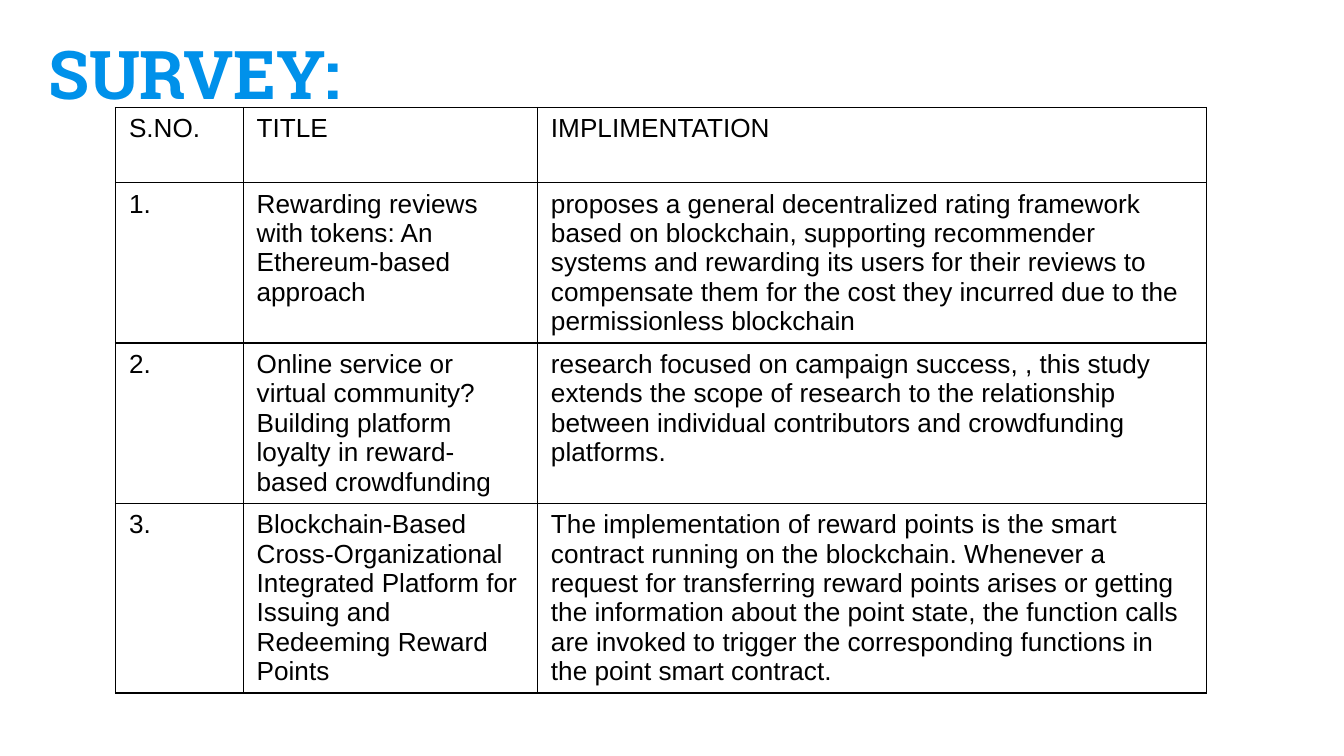
from dataclasses import dataclass

from lxml import etree
from pptx import Presentation
from pptx import util as u
from pptx.dml.color import RGBColor
from pptx.enum import text
from pptx.oxml import ns


@dataclass(frozen=True)
class Theme:
    heading_color: str = "0091EA"
    ink: str = "000000"
    heading_font: str = "Roboto Slab"
    body_font: str = "Arial"
    heading_size: int = 36
    body_size: int = 14
    border_width: float = 0.75


theme = Theme()


def format_run(run, font, size, color, bold=False):
    run.font.name = font
    run.font.size = u.Pt(size)
    run.font.color.rgb = RGBColor.from_string(color)
    run.font.bold = bold


def add_borders(cell):
    properties = cell._tc.get_or_add_tcPr()
    for position, side in enumerate(("lnL", "lnR", "lnT", "lnB")):
        border = etree.Element(ns.qn(f"a:{side}"), w=str(u.Pt(theme.border_width)))
        fill = etree.SubElement(border, ns.qn("a:solidFill"))
        etree.SubElement(fill, ns.qn("a:srgbClr"), val=theme.ink)
        properties.insert(position, border)


column_widths = [0.95, 2.19, 4.98]
row_heights = [0.56, 1.19, 1.19, 1.4]
survey_rows = [
    ("S.NO.", "TITLE", "IMPLIMENTATION"),
    (
        "1.",
        "Rewarding reviews with tokens: An Ethereum-based approach",
        "proposes a general decentralized rating framework based on blockchain, "
        "supporting recommender systems and rewarding its users for their reviews "
        "to compensate them for the cost they incurred due to the permissionless "
        "blockchain",
    ),
    (
        "2.",
        "Online service or virtual community? Building platform loyalty in "
        "reward-based crowdfunding",
        "research focused on campaign success, , this study extends the scope of "
        "research to the relationship between individual contributors and "
        "crowdfunding platforms.",
    ),
    (
        "3.",
        "Blockchain-Based Cross-Organizational Integrated Platform for Issuing and "
        "Redeeming Reward Points",
        "The implementation of reward points is the smart contract running on the "
        "blockchain. Whenever a request for transferring reward points arises or "
        "getting the information about the point state, the function calls are "
        "invoked to trigger the corresponding functions in the point smart contract.",
    ),
]

deck = Presentation()
deck.slide_width = u.Inches(10)
deck.slide_height = u.Inches(10 * 9 / 16)
slide = deck.slides.add_slide(deck.slide_layouts[5])

heading = slide.shapes.title
heading.left, heading.top = u.Inches(0.26), u.Inches(0.17)
heading.width, heading.height = u.Inches(8.28), u.Inches(0.77)
frame = heading.text_frame
frame.text = "SURVEY:"
frame.word_wrap = True
frame.auto_size = text.MSO_AUTO_SIZE.NONE
frame.vertical_anchor = text.MSO_ANCHOR.BOTTOM
frame.margin_left = frame.margin_right = u.Inches(0.1)
frame.margin_top = frame.margin_bottom = u.Inches(0.1)
frame.paragraphs[0].alignment = text.PP_ALIGN.LEFT
format_run(frame.paragraphs[0].runs[0], theme.heading_font, theme.heading_size,
           theme.heading_color, bold=True)

survey = slide.shapes.add_table(
    len(survey_rows), len(column_widths), u.Inches(0.86), u.Inches(0.8),
    u.Inches(sum(column_widths)), u.Inches(sum(row_heights)),
).table
survey.first_row = False
survey.horz_banding = False
for column, width in zip(survey.columns, column_widths):
    column.width = u.Inches(width)

for row, height, entries in zip(survey.rows, row_heights, survey_rows):
    row.height = u.Inches(height)
    for cell, entry in zip(row.cells, entries):
        cell.text_frame.text = entry
        format_run(cell.text_frame.paragraphs[0].runs[0], theme.body_font,
                   theme.body_size, theme.ink)
        cell.fill.background()
        add_borders(cell)

deck.save("out.pptx")
